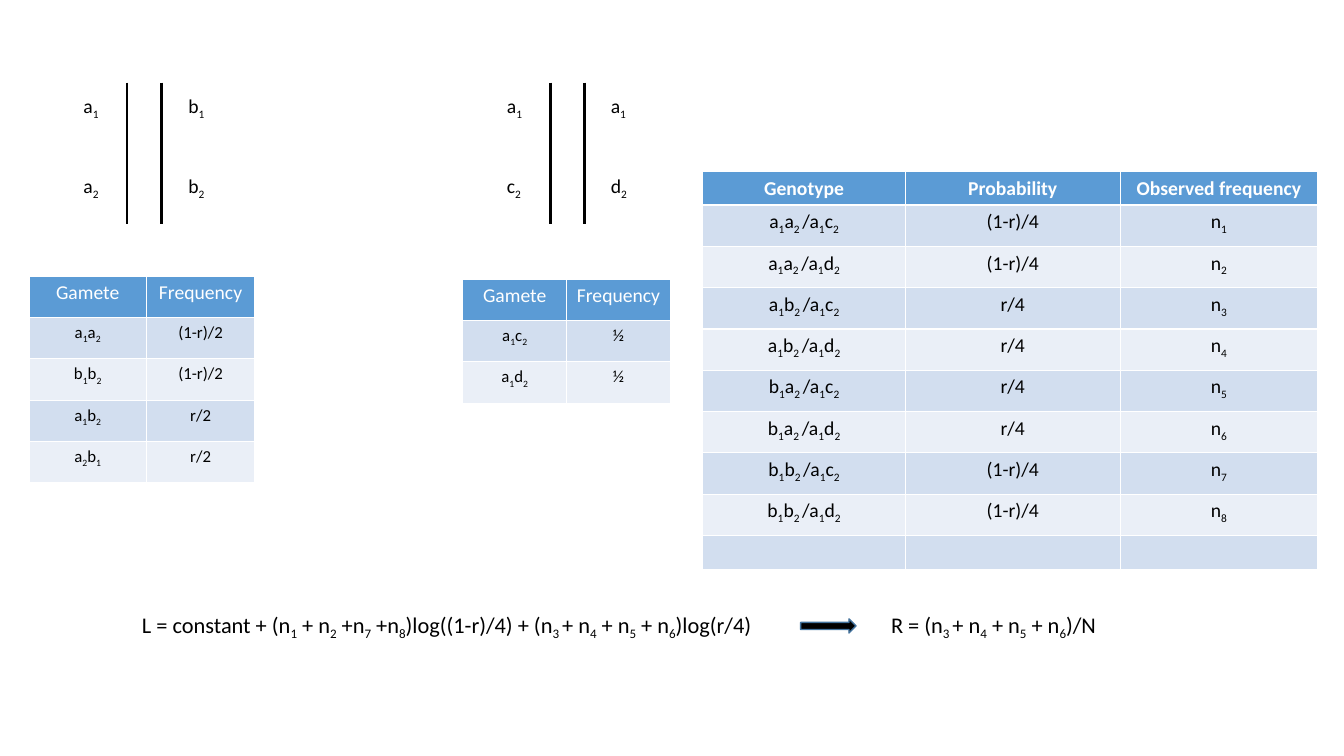
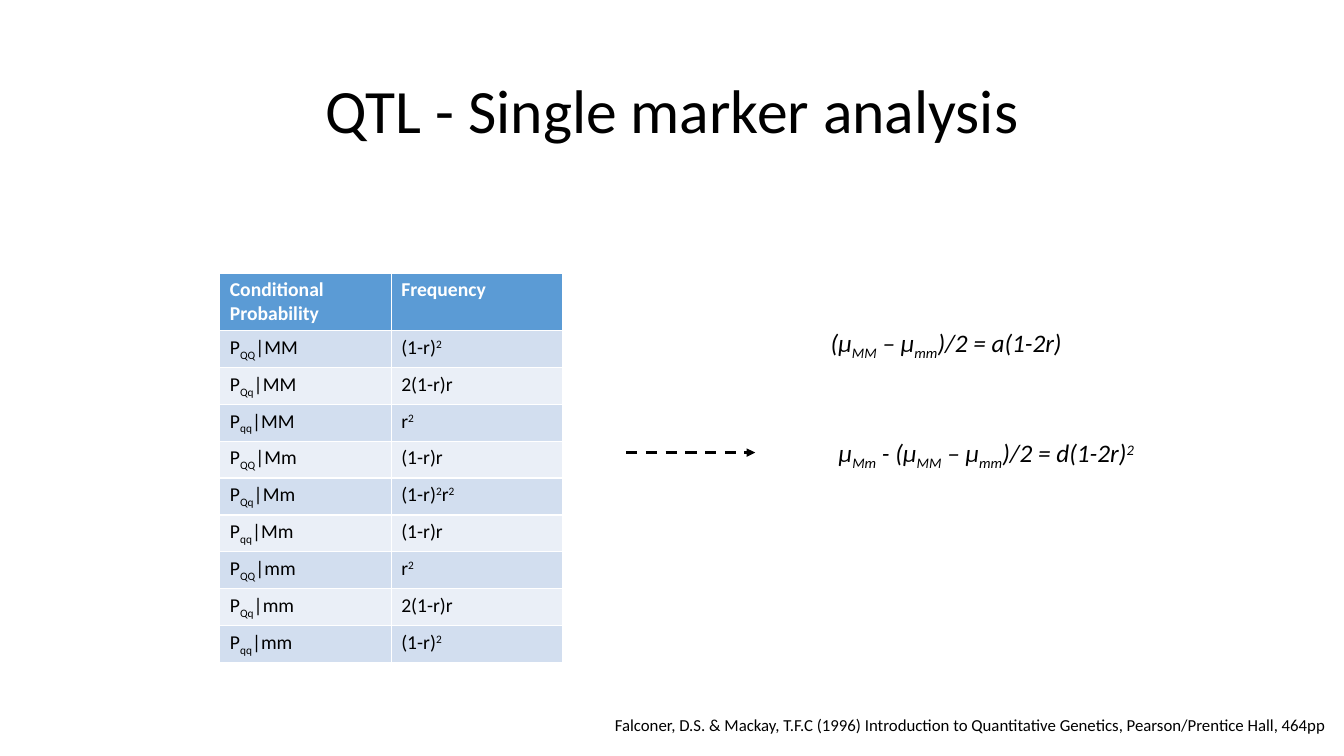
from lxml.etree import SubElement
from pptx import Presentation
from pptx.dml.color import RGBColor
from pptx.enum.dml import MSO_LINE
from pptx.enum.shapes import MSO_CONNECTOR, MSO_SHAPE
from pptx.enum.text import MSO_ANCHOR, MSO_AUTO_SIZE, PP_ALIGN
from pptx.oxml.ns import qn
from pptx.util import Inches, Pt

FONT = "Calibri"
COLORS = {
    "text": "000000",
    "header_text": "FFFFFF",
    "header": "5B9BD5",
    "odd_row": "D2DEEF",
    "even_row": "EAEFF7",
    "arrow_edge": "43739E",
}
BASELINES = {"_": "-25000", "^": "30000"}


def write(text_frame, text, size, color="text", align=PP_ALIGN.LEFT, bold=False, italic=False):
    # {x} is a subscript, [x] a superscript
    paragraph = text_frame.paragraphs[0]
    paragraph.alignment = align
    font = paragraph.font
    font.name, font.size, font.bold, font.italic = FONT, Pt(size), bold, italic
    font.color.rgb = RGBColor.from_string(COLORS[color])
    marked = text.replace("{", "}_").replace("[", "}^").replace("]", "}")
    for piece in filter(None, marked.split("}")):
        run = paragraph.add_run()
        run.text = piece.lstrip("_^")
        if piece[0] in BASELINES:
            run._r.get_or_add_rPr().set("baseline", BASELINES[piece[0]])
    return paragraph


def add_grid(slide, left, top, widths, heights, rows, body_size, align, bold_header):
    shape = slide.shapes.add_table(
        len(rows), len(widths), Inches(left), Inches(top),
        Inches(sum(widths)), Inches(sum(heights)))
    table = shape.table
    for column, width in zip(table.columns, widths):
        column.width = Inches(width)
    for index, (row, height, texts) in enumerate(zip(table.rows, heights, rows)):
        row.height = Inches(height)
        fill = "header" if index == 0 else "odd_row" if index % 2 else "even_row"
        for cell, text in zip(row.cells, texts):
            cell.fill.solid()
            cell.fill.fore_color.rgb = RGBColor.from_string(COLORS[fill])
            if index == 0:
                write(cell.text_frame, text, 14, "header_text", align, bold_header)
            else:
                write(cell.text_frame, text, body_size, "text", align)


presentation = Presentation()
presentation.slide_width = Inches(13.33)
presentation.slide_height = Inches(7.5)
cross_slide = presentation.slides.add_slide(presentation.slide_layouts[6])
marker_slide = presentation.slides.add_slide(presentation.slide_layouts[5])

title = marker_slide.shapes.title
title.left, title.top, title.width, title.height = (
    Inches(0.92), Inches(0.4), Inches(11.5), Inches(1.45))
title.text_frame.vertical_anchor = MSO_ANCHOR.MIDDLE
title_paragraph = write(title.text_frame, "QTL - Single marker analysis", 44, align=PP_ALIGN.CENTER)
title_paragraph.line_spacing = 0.9

lines = [(cross_slide, x, 0.82, x, 2.22) for x in (1.26, 1.6, 5.46, 5.8)]
lines.append((marker_slide, 6.21, 4.49, 7.49, 4.49))
for slide, *ends in lines:
    connector = slide.shapes.add_connector(MSO_CONNECTOR.STRAIGHT, *map(Inches, ends))
    connector.line.width = Pt(2)
    connector.line.color.rgb = RGBColor.from_string(COLORS["text"])
    if slide is marker_slide:
        connector.line.dash_style = MSO_LINE.DASH
        SubElement(connector.line._get_or_add_ln(), qn("a:tailEnd"), type="triangle")
    SubElement(connector._element.spPr, qn("a:effectLst"))

allele_columns = [
    (0.73, ("a{1}", "a{2}")),
    (1.77, ("b{1}", "b{2}")),
    (4.93, ("a{1}", "c{2}")),
    (5.96, ("a{1}", "d{2}")),
]
texts = [
    (cross_slide, left, top, 0.36, 0.34, allele, 14, False)
    for left, alleles in allele_columns
    for top, allele in zip((0.88, 1.68), alleles)
]
texts += [
    (cross_slide, 1.31, 6.01, 6.24, 0.37,
     "L = constant + (n{1} + n{2} +n{7} +n{8})log((1-r)/4)"
     " + (n{3 }+ n{4} + n{5} + n{6})log(r/4)", 16, False),
    (cross_slide, 8.74, 6.01, 2.34, 0.37, "R = (n{3 }+ n{4} + n{5} + n{6})/N", 16, False),
    (marker_slide, 8.14, 3.2, 2.65, 0.4, "(μ{MM} – μ{mm})/2 = a(1-2r)", 18, True),
    (marker_slide, 8.22, 4.29, 3.34, 0.4, "μ{Mm} - (μ{MM} – μ{mm})/2 = d(1-2r)[2]", 18, True),
    (marker_slide, 6, 7.04, 7.34, 0.3,
     "Falconer, D.S. & Mackay, T.F.C (1996) Introduction to Quantitative Genetics, "
     "Pearson/Prentice Hall, 464pp", 12, False),
]
for slide, left, top, width, height, text, size, italic in texts:
    box = slide.shapes.add_textbox(Inches(left), Inches(top), Inches(width), Inches(height))
    box.text_frame.word_wrap = False
    box.text_frame.auto_size = MSO_AUTO_SIZE.SHAPE_TO_FIT_TEXT
    write(box.text_frame, text, size, italic=italic)

arrow = cross_slide.shapes.add_shape(
    MSO_SHAPE.RIGHT_ARROW, Inches(7.94), Inches(6.14), Inches(0.55), Inches(0.14))
arrow.shadow.inherit = False
arrow.fill.solid()
arrow.fill.fore_color.rgb = RGBColor.from_string(COLORS["text"])
arrow.line.color.rgb = RGBColor.from_string(COLORS["arrow_edge"])
arrow.line.width = Pt(1)

gamete_header = ("Gamete", "Frequency")
first_gametes = [
    gamete_header,
    ("a{1}a{2}", "(1-r)/2"),
    ("b{1}b{2}", "(1-r)/2"),
    ("a{1}b{2}", "r/2"),
    ("a{2}b{1}", "r/2"),
]
second_gametes = [gamete_header, ("a{1}c{2}", "½"), ("a{1}d{2}", "½")]
add_grid(cross_slide, 0.29, 2.74, [1.16, 1.08], [0.41] * 5, first_gametes,
         12, PP_ALIGN.CENTER, False)
add_grid(cross_slide, 4.59, 2.77, [1.03, 1.03], [0.41] * 3, second_gametes,
         12, PP_ALIGN.CENTER, False)

genotypes = [("Genotype", "Probability", "Observed frequency")]
for first, second in ("aa", "ab", "ba", "bb"):
    probability = "(1-r)/4" if first == second else "r/4"
    for other in "cd":
        genotypes.append((
            f"{first}{{1}}{second}{{2 }}/a{{1}}{other}{{2}}",
            probability,
            f"n{{{len(genotypes)}}}"))
genotypes.append(("", "", ""))
add_grid(cross_slide, 6.97, 1.7, [2.01, 2.13, 1.96], [0.33] + [0.41] * 8 + [0.33], genotypes,
         14, PP_ALIGN.CENTER, True)

conditionals = [("Conditional Probability", "Frequency")]
frequencies = {
    "MM": ("(1-r)[2]", "2(1-r)r", "r[2]"),
    "Mm": ("(1-r)r", "(1-r)[2]r[2]", "(1-r)r"),
    "mm": ("r[2]", "2(1-r)r", "(1-r)[2]"),
}
for marker, values in frequencies.items():
    for locus, value in zip(("QQ", "Qq", "qq"), values):
        conditionals.append((f"P{{{locus}}}|{marker}", value))
add_grid(marker_slide, 2.18, 2.71, [1.7, 1.7], [0.57] + [0.36] * 9, conditionals,
         14, PP_ALIGN.LEFT, True)

presentation.save("out.pptx")
